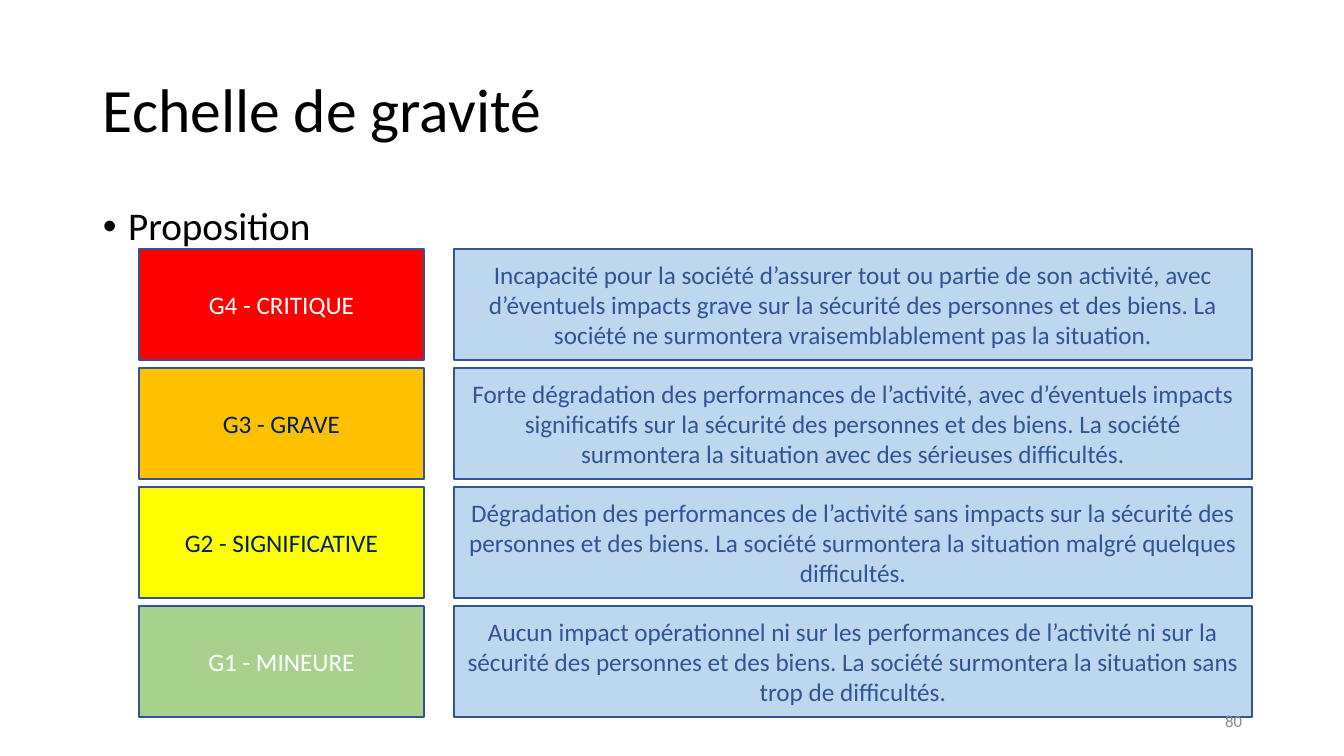
"""Build the severity scale slide: four levels, each with its description."""
from lxml import etree
from pptx import Presentation
from pptx.dml.color import RGBColor
from pptx.enum.shapes import MSO_SHAPE
from pptx.enum.text import MSO_ANCHOR, PP_ALIGN
from pptx.oxml.ns import qn
from pptx.util import Emu, Pt

RECTANGLE = MSO_SHAPE.RECTANGLE
TOP, MIDDLE = MSO_ANCHOR.TOP, MSO_ANCHOR.MIDDLE
LEFT, CENTER, RIGHT = PP_ALIGN.LEFT, PP_ALIGN.CENTER, PP_ALIGN.RIGHT
SCALE = 12192000 / 1344


def px(*lengths):
    return [Emu(round(length * SCALE)) for length in lengths]


def write(box, text, size, color, align, anchor=MIDDLE):
    frame = box.text_frame
    frame.word_wrap = True
    frame.vertical_anchor = anchor
    para = frame.paragraphs[0]
    para.alignment = align
    span = para.add_run()
    span.text = text
    style = {"name": "Calibri", "size": Pt(size)}
    for name, value in style.items():
        setattr(span.font, name, value)
    span.font.color.rgb = RGBColor.from_string(color)
    return para


deck = Presentation()
deck.slide_width, deck.slide_height = px(1344, 756)
page = deck.slides.add_slide(deck.slide_layouts[6])

title = page.shapes.add_textbox(*px(93, 40, 1159, 146))
write(title, "Echelle de gravité", 44, "000000", LEFT).line_spacing = 0.9

proposal = page.shapes.add_textbox(*px(93, 202, 1159, 69))
para = write(proposal, "Proposition", 28, "000000", LEFT, TOP)
para.line_spacing = 0.9
properties = para._p.get_or_add_pPr()
properties.set("marL", "228600")
properties.set("indent", "-228600")
etree.SubElement(properties, qn("a:buFont")).set("typeface", "Arial")
etree.SubElement(properties, qn("a:buChar")).set("char", "•")

levels = [
    ("G4 - CRITIQUE", "FF0000", "FFFFFF",
     "Incapacité pour la société d’assurer tout ou partie de son activité, avec "
     "d’éventuels impacts grave sur la sécurité des personnes et des biens. "
     "La société ne surmontera vraisemblablement pas la situation."),
    ("G3 - GRAVE", "FFC000", "002060",
     "Forte dégradation des performances de l’activité, avec d’éventuels impacts "
     "significatifs sur la sécurité des personnes et des biens. "
     "La société surmontera la situation avec des sérieuses difficultés."),
    ("G2 - SIGNIFICATIVE", "FFFF00", "002060",
     "Dégradation des performances de l’activité sans impacts sur la sécurité des "
     "personnes et des biens. "
     "La société surmontera la situation malgré quelques difficultés."),
    ("G1 - MINEURE", "A9D18E", "FFFFFF",
     "Aucun impact opérationnel ni sur les performances de l’activité ni sur la "
     "sécurité des personnes et des biens. "
     "La société surmontera la situation sans trop de difficultés."),
]
for row, (level, level_fill, level_color, description) in enumerate(levels):
    cells = [
        (139, 285, level, level_fill, level_color),
        (454, 798, description, "BDD7EE", "2F5597"),
    ]
    for left, width, text, fill, color in cells:
        box = page.shapes.add_shape(RECTANGLE, *px(left, 249 + row * 119, width, 111))
        box.shadow.inherit = False
        box.fill.solid()
        box.fill.fore_color.rgb = RGBColor.from_string(fill)
        box.line.color.rgb = RGBColor.from_string("325491")
        box.line.width = Pt(1)
        write(box, text, 18, color, CENTER)

number = page.shapes.add_textbox(*px(950, 701, 302, 40))
write(number, "80", 12, "8C8C8C", RIGHT)

deck.save("out.pptx")
